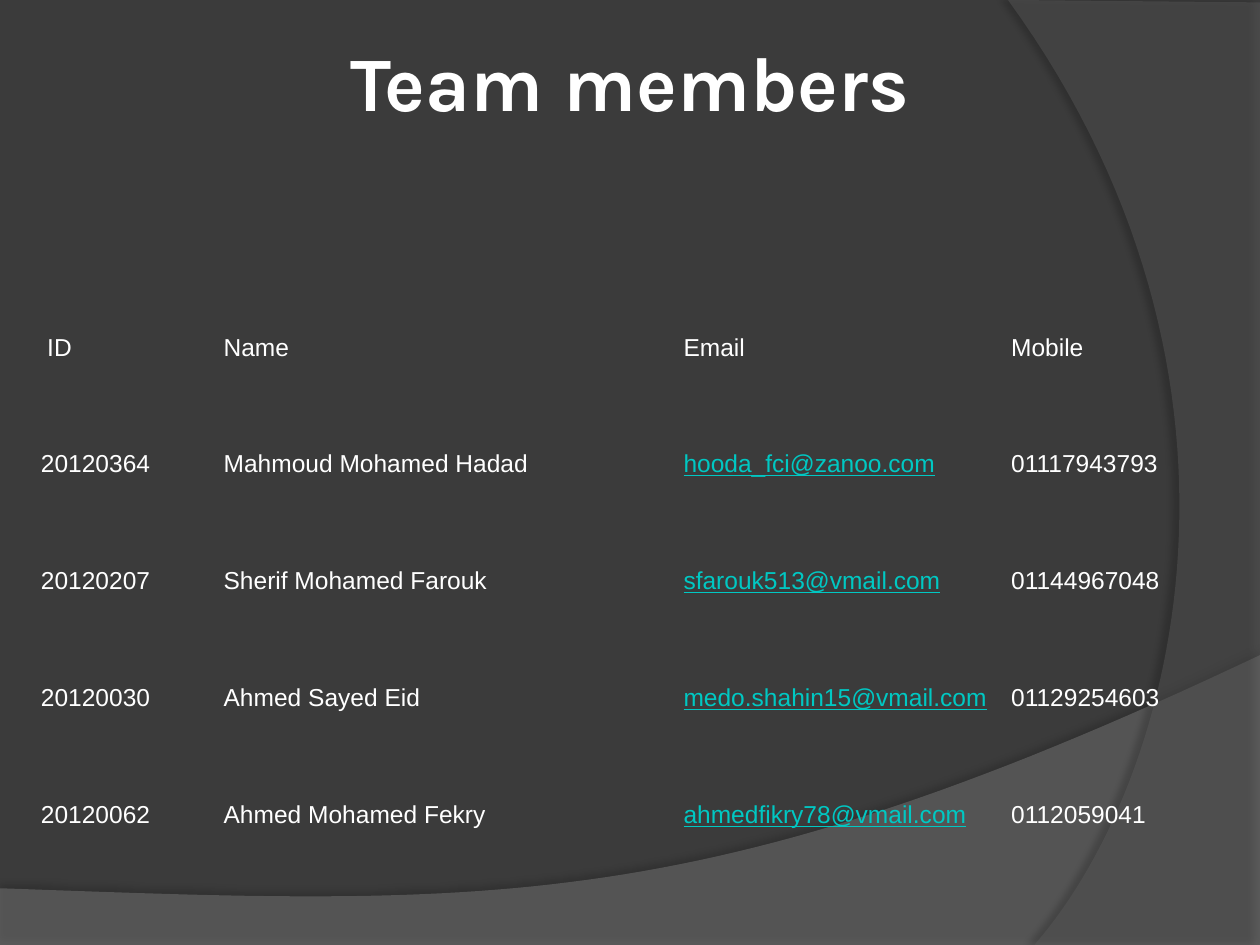
"""Build the team members slide: a contact table over two curved backdrop shapes."""
from lxml.etree import SubElement
from pptx import Presentation
from pptx.dml.color import RGBColor
from pptx.enum.text import MSO_ANCHOR, MSO_AUTO_SIZE, PP_ALIGN
from pptx.oxml.ns import qn
from pptx.util import Pt

COLORS = {"ground": "3B3B3B", "wave": "7F7F7F", "arc": "5E5E5E",
          "text": "FFFFFF", "link": "00C8C3", "shadow": "000000"}
TITLE = "Team members"
MEMBERS = [
    ("ID", "Name", "Email", "Mobile"),
    ("20120364", "Mahmoud Mohamed Hadad", "hooda_fci@zanoo.com", "01117943793"),
    ("20120207", "Sherif Mohamed Farouk", "sfarouk513@vmail.com", "01144967048"),
    ("20120030", "Ahmed Sayed Eid", "medo.shahin15@vmail.com", "01129254603"),
    ("20120062", "Ahmed Mohamed Fekry", "ahmedfikry78@vmail.com", "0112059041"),
]
COLUMN_WIDTHS = [104.4, 262.8, 187.2, 97.9]
ROW_HEIGHTS = [66.5, 66.5, 67.4, 66.5, 67.4]
BACKDROPS = [
    {"color": "wave", "alpha": 45, "shadow": (35, 4, 3.5, 270),
     "corners": [(0, 507.6), (0, 540), (720, 540)],
     "curve": [(720, 374.4), (402.5, 524.9), (281.5, 517.7), (0, 507.6)]},
    {"color": "arc", "alpha": 40, "shadow": (45, 4, 4, 180),
     "corners": [(720, 1.4), (720, 540)],
     "curve": [(591.1, 540), (673.2, 445.7), (733, 216), (576, 0)]},
]
CURVE_STEPS = 60


def rgb(name):
    return RGBColor.from_string(COLORS[name])


def bezier(start, pull_a, pull_b, end):
    points = []
    for step in range(CURVE_STEPS + 1):
        t = step / CURVE_STEPS
        weights = ((1 - t) ** 3, 3 * t * (1 - t) ** 2, 3 * t * t * (1 - t), t ** 3)
        points.append(tuple(sum(w * v for w, v in zip(weights, axis))
                            for axis in zip(start, pull_a, pull_b, end)))
    return points


def set_alpha(color_element, percent):
    SubElement(color_element, qn("a:alpha"), val=str(percent * 1000))


def add_backdrop(slide, backdrop):
    outline = [(Pt(x), Pt(y)) for x, y in backdrop["corners"] + bezier(*backdrop["curve"])]
    builder = slide.shapes.build_freeform(*outline[0])
    builder.add_line_segments(outline[1:], close=True)
    shape = builder.convert_to_shape()
    shape.fill.solid()
    shape.fill.fore_color.rgb = rgb(backdrop["color"])
    shape.line.fill.background()
    shape.shadow.inherit = False
    properties = shape.element.spPr
    set_alpha(properties.find(qn("a:solidFill"))[0], backdrop["alpha"])
    opacity, blur, distance, angle = backdrop["shadow"]
    shadow = SubElement(properties.find(qn("a:effectLst")), qn("a:outerShdw"),
                        blurRad=str(Pt(blur)), dist=str(Pt(distance)),
                        dir=str(angle * 60000), algn="ctr", rotWithShape="0")
    set_alpha(SubElement(shadow, qn("a:srgbClr"), val=COLORS["shadow"]), opacity)


def add_run(paragraph, text, font_name, size, color):
    run = paragraph.add_run()
    run.text = text
    run.font.name, run.font.size = font_name, Pt(size)
    run.font.color.rgb = rgb(color)
    return run


def fill_title(title):
    title.left, title.top, title.width, title.height = Pt(36), Pt(16), Pt(648), Pt(109.4)
    frame = title.text_frame
    frame.auto_size = MSO_AUTO_SIZE.NONE
    frame.vertical_anchor = MSO_ANCHOR.TOP
    paragraph = frame.paragraphs[0]
    paragraph.alignment = PP_ALIGN.CENTER
    add_run(paragraph, TITLE, "Karla", 44, "text").font.bold = True


def fill_cell(cell, text, is_link):
    cell.fill.background()
    cell.vertical_anchor = MSO_ANCHOR.MIDDLE
    cell.margin_left = cell.margin_right = Pt(5.4)
    cell.margin_top = cell.margin_bottom = 0
    paragraph = cell.text_frame.paragraphs[0]
    paragraph.line_spacing = 1.15
    paragraph.space_after = Pt(10)
    run = add_run(paragraph, text, "Arial", 14, "link" if is_link else "text")
    run.font.underline = is_link
    return paragraph


def add_members(slide):
    table = slide.shapes.add_table(
        len(MEMBERS), len(COLUMN_WIDTHS), Pt(18), Pt(164.2),
        Pt(sum(COLUMN_WIDTHS)), Pt(sum(ROW_HEIGHTS))).table
    table.first_row = table.horz_banding = False
    style = next(table._tbl.iter(qn("a:tableStyleId")))
    style.text = "{2D5ABB26-0587-4C30-8999-92F81FD0307C}"
    for column, width in zip(table.columns, COLUMN_WIDTHS):
        column.width = Pt(width)
    for row, height, member in zip(table.rows, ROW_HEIGHTS, MEMBERS):
        row.height = Pt(height)
        for cell, text in zip(row.cells, member):
            paragraph = fill_cell(cell, text, "@" in text)
            if text == "ID":
                paragraph._p.get_or_add_pPr().set("marL", str(Pt(3.6)))


def main():
    deck = Presentation()
    deck.slide_width, deck.slide_height = Pt(720), Pt(540)
    slide = deck.slides.add_slide(deck.slide_layouts[5])
    slide.background.fill.solid()
    slide.background.fill.fore_color.rgb = rgb("ground")
    for backdrop in BACKDROPS:
        add_backdrop(slide, backdrop)
    fill_title(slide.shapes.title)
    add_members(slide)
    deck.save("out.pptx")


if __name__ == "__main__":
    main()
